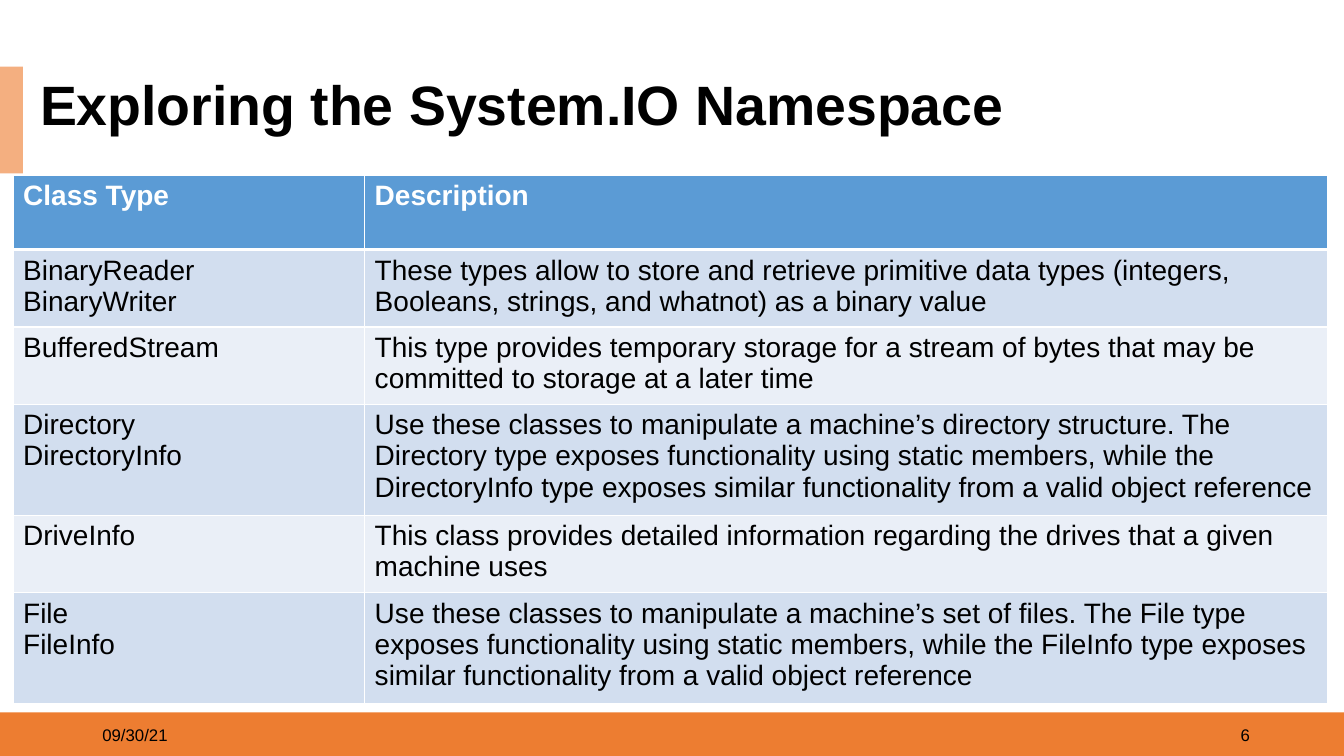
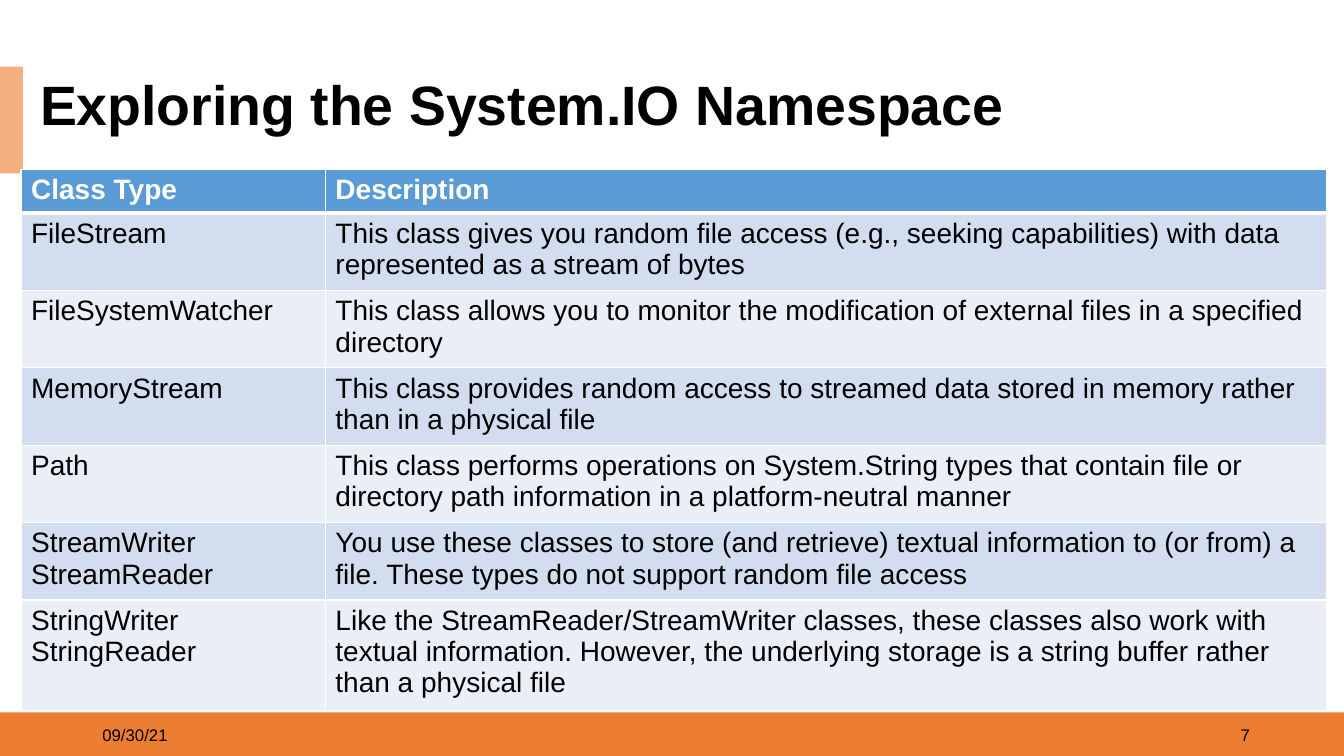
from collections import namedtuple

from lxml import etree
from pptx import Presentation
from pptx import util as u
from pptx.dml.color import RGBColor
from pptx.enum import shapes, text
from pptx.oxml import ns

Box = namedtuple("Box", "left top width height")

BLACK = RGBColor(0x00, 0x00, 0x00)
WHITE = RGBColor(0xFF, 0xFF, 0xFF)
ORANGE = RGBColor(0xED, 0x7D, 0x31)
PEACH = RGBColor(0xF4, 0xAF, 0x80)
HEADER_BLUE = RGBColor(0x5B, 0x9B, 0xD5)
ROW_TINTS = (RGBColor(0xD2, 0xDE, 0xEF), RGBColor(0xEA, 0xEF, 0xF7))

FONT = "Arial"
TITLE = "Exploring the System.IO Namespace"
DATE = "09/30/21"
HEADINGS = ("Class Type", "Description")

PAGE = Box(0, 0, u.Cm(33.87), u.Cm(19.05))
HEADING = Box(0, u.Cm(1.68), u.Cm(26.85), u.Cm(2.69))
FOOTER = Box(0, u.Cm(17.95), PAGE.width, u.Cm(1.1))

FILE_SYSTEM_CLASSES = (
    ("BinaryReader\nBinaryWriter",
     "These types allow to store and retrieve primitive data types (integers, "
     "Booleans, strings, and whatnot) as a binary value"),
    ("BufferedStream",
     "This type provides temporary storage for a stream of bytes that may be "
     "committed to storage at a later time"),
    ("Directory\nDirectoryInfo",
     "Use these classes to manipulate a machine’s directory structure. The "
     "Directory type exposes functionality using static members, while the "
     "DirectoryInfo type exposes similar functionality from a valid object reference"),
    ("DriveInfo",
     "This class provides detailed information regarding the drives that a given "
     "machine uses"),
    ("File\nFileInfo",
     "Use these classes to manipulate a machine’s set of files. The File type "
     "exposes functionality using static members, while the FileInfo type exposes "
     "similar functionality from a valid object reference"),
)
STREAM_CLASSES = (
    ("FileStream",
     "This class gives you random file access (e.g., seeking capabilities) with data "
     "represented as a stream of bytes"),
    ("FileSystemWatcher",
     "This class allows you to monitor the modification of external files in a "
     "specified directory"),
    ("MemoryStream",
     "This class provides random access to streamed data stored in memory rather "
     "than in a physical file"),
    ("Path",
     "This class performs operations on System.String types that contain file or "
     "directory path information in a platform-neutral manner"),
    ("StreamWriter StreamReader",
     "You use these classes to store (and retrieve) textual information to (or from) "
     "a file. These types do not support random file access"),
    ("StringWriter\nStringReader",
     "Like the StreamReader/StreamWriter classes, these classes also work with "
     "textual information. However, the underlying storage is a string buffer rather "
     "than a physical file"),
)


def style_font(paragraph, size, color=BLACK, bold=False):
    font = paragraph.font
    font.name, font.size, font.bold = FONT, u.Pt(size), bold
    font.color.rgb = color


def add_band(slide, box, color):
    band = slide.shapes.add_shape(shapes.MSO_SHAPE.RECTANGLE, *box)
    band.shadow.inherit = False
    band.fill.solid()
    band.fill.fore_color.rgb = color
    band.line.fill.background()


def add_label(slide, box, words, size, bold=False, align=text.PP_ALIGN.LEFT):
    label = slide.shapes.add_textbox(*box)
    frame = label.text_frame
    frame.word_wrap = True
    frame.vertical_anchor = text.MSO_ANCHOR.MIDDLE
    frame.text = words
    paragraph = frame.paragraphs[0]
    paragraph.alignment = align
    style_font(paragraph, size, bold=bold)
    return label


def add_heading(slide, box):
    add_band(slide, Box(box.left, box.top, u.Cm(0.58), box.height), PEACH)
    indent = u.Cm(0.76)
    title = add_label(
        slide,
        Box(box.left + indent, box.top + u.Cm(0.22), box.width - indent, u.Cm(1.6)),
        TITLE, 39.6, bold=True)
    title.fill.solid()
    title.fill.fore_color.rgb = WHITE
    title.text_frame.paragraphs[0].line_spacing = 0.9


def add_footer(slide, box, number):
    add_band(slide, box, ORANGE)
    top, width, height = box.top + u.Cm(0.06), u.Cm(7.62), u.Cm(1.02)
    add_label(slide, Box(box.left + u.Cm(2.33), top, width, height), DATE, 12)
    add_label(slide, Box(box.left + u.Cm(24.13), top, width, height), str(number), 12,
              align=text.PP_ALIGN.RIGHT)


def set_borders(cell, top, bottom):
    properties = cell._tc.get_or_add_tcPr()
    for side, points in (("L", 1), ("R", 1), ("T", top), ("B", bottom)):
        line = etree.SubElement(properties, ns.qn(f"a:ln{side}"), w=str(u.Pt(points)))
        fill = etree.SubElement(line, ns.qn("a:solidFill"))
        etree.SubElement(fill, ns.qn("a:srgbClr"), val=str(WHITE))


def add_class_table(slide, left, top, classes, column_widths, row_heights):
    rows = (HEADINGS, *classes)
    table = slide.shapes.add_table(
        len(rows), len(HEADINGS), left, top, sum(column_widths), sum(row_heights)).table
    for column, width in zip(table.columns, column_widths):
        column.width = width
    for r, (row, height, entries) in enumerate(zip(table.rows, row_heights, rows)):
        row.height = height
        is_header = r == 0
        for cell, words in zip(row.cells, entries):
            set_borders(cell, top=3 if r == 1 else 1, bottom=3 if is_header else 1)
            cell.fill.solid()
            cell.fill.fore_color.rgb = HEADER_BLUE if is_header else ROW_TINTS[(r - 1) % 2]
            cell.text = words
            for paragraph in cell.text_frame.paragraphs:
                style_font(paragraph, 20, WHITE if is_header else BLACK, is_header)


def add_class_slide(deck, number, **table):
    slide = deck.slides.add_slide(deck.slide_layouts[6])
    add_footer(slide, FOOTER, number)
    add_heading(slide, HEADING)
    add_class_table(slide, **table)


def main():
    deck = Presentation()
    deck.slide_width, deck.slide_height = PAGE.width, PAGE.height
    two_lines, three_lines = u.Cm(1.88), u.Cm(2.69)
    add_class_slide(
        deck, 6, left=u.Cm(0.33), top=u.Cm(4.41), classes=FILE_SYSTEM_CLASSES,
        column_widths=(u.Cm(8.86), u.Cm(24.26)),
        row_heights=(two_lines,) * 3 + (three_lines, two_lines, three_lines))
    add_class_slide(
        deck, 7, left=u.Cm(0.53), top=u.Cm(4.27), classes=STREAM_CLASSES,
        column_widths=(u.Cm(7.67), u.Cm(25.22)),
        row_heights=(u.Cm(1.04),) * 7)
    deck.save("out.pptx")


if __name__ == "__main__":
    main()
